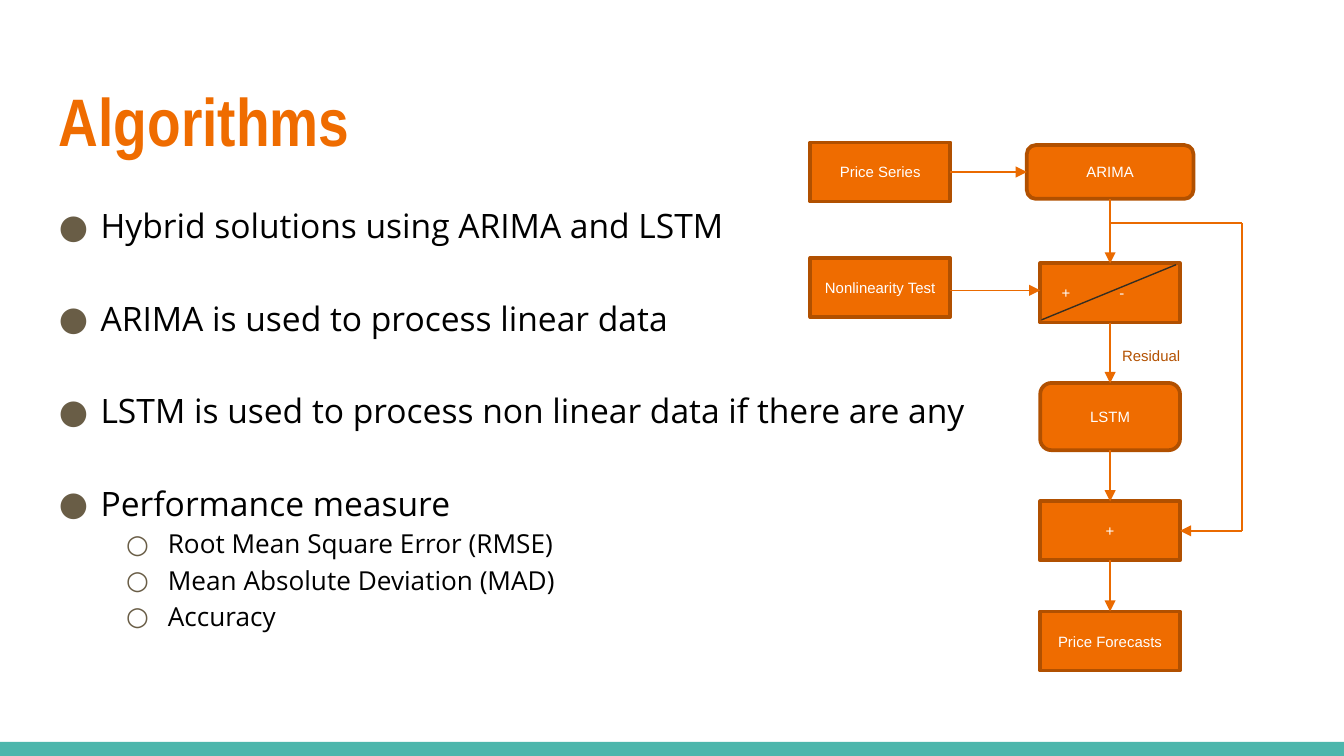
from lxml.etree import SubElement
from pptx import Presentation
from pptx.dml.color import RGBColor
from pptx.enum.shapes import MSO_CONNECTOR, MSO_SHAPE
from pptx.enum.text import MSO_ANCHOR, PP_ALIGN
from pptx.oxml.ns import qn
from pptx.util import Inches, Pt

ORANGE = RGBColor(0xEF, 0x6C, 0x00)
RUST = RGBColor(0xB1, 0x50, 0x00)
ARROW = RGBColor(0xEA, 0x6A, 0x00)
LABEL = RGBColor(0xB3, 0x51, 0x00)
DARK = RGBColor(0x34, 0x2E, 0x23)
TEAL = RGBColor(0x4D, 0xB6, 0xAC)
WHITE = RGBColor(0xFF, 0xFF, 0xFF)
BLACK = RGBColor(0, 0, 0)
BULLET = RGBColor(0x69, 0x5D, 0x46)

POINTS = [
    ("Hybrid solutions using ARIMA and LSTM", 0),
    ("ARIMA is used to process linear data", 0),
    ("LSTM is used to process non linear data if there are any", 0),
    ("Performance measure", 0),
    ("Root Mean Square Error (RMSE)", 1),
    ("Mean Absolute Deviation (MAD)", 1),
    ("Accuracy", 1),
]


def set_font(para, name, size, color, bold=False):
    """Set the font of a whole paragraph."""
    font = para.font
    font.name, font.size, font.bold = name, Pt(size), bold
    font.color.rgb = color


def add_text(slide, left, top, width, height, pad=0.1):
    """Add a wrapping text box and return its frame."""
    box = slide.shapes.add_textbox(
        Inches(left), Inches(top), Inches(width), Inches(height))
    frame = box.text_frame
    frame.word_wrap = True
    frame.margin_top = frame.margin_bottom = Inches(pad)
    return frame


def add_title(slide, left, top, width, height):
    """Add the slide title."""
    para = add_text(slide, left, top, width, height).paragraphs[0]
    para.text = "Algorithms"
    set_font(para, "Arial Narrow", 36, ORANGE, True)


def add_bullet(para, level):
    """Give a paragraph its indent and bullet mark."""
    props = para._p.get_or_add_pPr()
    props.set("marL", str(Inches(0.31 + 0.5 * level)))
    props.set("indent", str(Inches(-0.31)))
    tint = SubElement(props, qn("a:buClr"))
    SubElement(tint, qn("a:srgbClr")).set("val", str(BULLET))
    SubElement(props, qn("a:buFont")).set("typeface", "Open Sans")
    SubElement(props, qn("a:buChar")).set("char", "●○"[level])


def add_points(slide, left, top, width, height):
    """Add the two-level bullet list."""
    frame = add_text(slide, left, top, width, height)
    for i, (text, level) in enumerate(POINTS):
        para = frame.add_paragraph() if i else frame.paragraphs[0]
        para.text, para.level = text, level
        add_bullet(para, level)
        para.line_spacing = 1.15
        if i and not level:
            para.space_before = Pt(24.8)
        set_font(para, "Open Sans", 14 if level else 18, BLACK)


def add_node(slide, text, left, top, width=1.04, height=0.44,
             kind=MSO_SHAPE.RECTANGLE):
    """Add one box of the flow chart."""
    node = slide.shapes.add_shape(
        kind, Inches(left), Inches(top), Inches(width), Inches(height))
    node.shadow.inherit = False
    node.fill.solid()
    node.fill.fore_color.rgb = ORANGE
    node.line.color.rgb = RUST
    node.line.width = Pt(2)
    frame = node.text_frame
    frame.vertical_anchor = MSO_ANCHOR.MIDDLE
    para = frame.paragraphs[0]
    para.text, para.alignment = text, PP_ALIGN.CENTER
    set_font(para, "Arial", 8, WHITE)
    return node


def add_line(slide, x1, y1, x2, y2, color=ARROW, head=True):
    """Add a thin straight line, with an arrowhead if asked."""
    line = slide.shapes.add_connector(
        MSO_CONNECTOR.STRAIGHT,
        Inches(x1), Inches(y1), Inches(x2), Inches(y2))
    line.line.color.rgb = color
    line.line.width = Pt(0.75)
    if head:
        tail = SubElement(line.line._get_or_add_ln(), qn("a:tailEnd"))
        tail.set("type", "triangle")
    SubElement(line._element.spPr, qn("a:effectLst"))
    return line


def link(slide, start, exit, end, entry):
    """Join two boxes with an arrow."""
    line = add_line(slide, 0, 0, 0, 0)
    line.begin_connect(start, exit)
    line.end_connect(end, entry)


def add_signs(slide, left, top):
    """Add the box split into plus and minus."""
    node = add_node(slide, "+\t-", left, top)
    node.text_frame.margin_left = Inches(0.16)
    para = node.text_frame.paragraphs[0]
    para.alignment = PP_ALIGN.LEFT
    tabs = para._p.pPr.makeelement(qn("a:tabLst"))
    para._p.pPr.insert(0, tabs)
    tab = SubElement(tabs, qn("a:tab"))
    tab.set("pos", str(Inches(0.43)))
    tab.set("algn", "l")
    add_line(slide, left + 0.01, top + 0.42, left + 1.01, top + 0.01,
             DARK, False)
    return node


def add_flow(slide, left, top):
    """Add the flow chart of the hybrid model."""
    col = left + 1.71
    mid = col + 0.52
    side = left + 3.21
    fork, merge = top + 0.6, top + 2.89
    split = add_signs(slide, col, top + 0.9)
    add_node(slide, "Nonlinearity Test", left, top + 0.86)
    prices = add_node(slide, "Price Series", left, top)
    arima = add_node(slide, "ARIMA", mid - 0.62, top + 0.02, 1.24, 0.4,
                     MSO_SHAPE.ROUNDED_RECTANGLE)
    lstm = add_node(slide, "LSTM", col, top + 1.79, height=0.5,
                    kind=MSO_SHAPE.ROUNDED_RECTANGLE)
    total = add_node(slide, "+", col, top + 2.67)
    result = add_node(slide, "Price Forecasts", col, top + 3.49)

    link(slide, prices, 3, arima, 1)
    add_line(slide, left + 1.04, top + 1.1, col, top + 1.1)
    chain = [arima, split, lstm, total, result]
    for start, end in zip(chain, chain[1:]):
        link(slide, start, 2, end, 0)

    add_line(slide, mid, fork, side, fork, head=False)
    add_line(slide, side, fork, side, merge, head=False)
    add_line(slide, side, merge, col + 1.04, merge).end_connect(total, 3)

    para = add_text(slide, mid - 0.01, top + 1.47, 0.85, 0.47,
                    0.05).paragraphs[0]
    para.text = "Residual"
    set_font(para, "Arial", 8, LABEL)


def add_band(slide, left, top, width, height):
    """Add the coloured band at the foot of the slide."""
    band = slide.shapes.add_shape(
        MSO_SHAPE.RECTANGLE,
        Inches(left), Inches(top), Inches(width), Inches(height))
    band.shadow.inherit = False
    band.fill.solid()
    band.fill.fore_color.rgb = TEAL
    band.line.fill.background()


def main():
    """Build and save the slide."""
    deck = Presentation()
    deck.slide_width = Inches(10)
    deck.slide_height = deck.slide_width * 9 // 16
    slide = deck.slides.add_slide(deck.slide_layouts[6])
    add_band(slide, 0, 5.52, 10, 0.11)
    add_title(slide, 0.34, 0.49, 9.32, 0.77)
    add_points(slide, 0.34, 1.38, 9.32, 3.75)
    add_flow(slide, 6.03, 1.06)
    deck.save("out.pptx")


if __name__ == "__main__":
    main()
